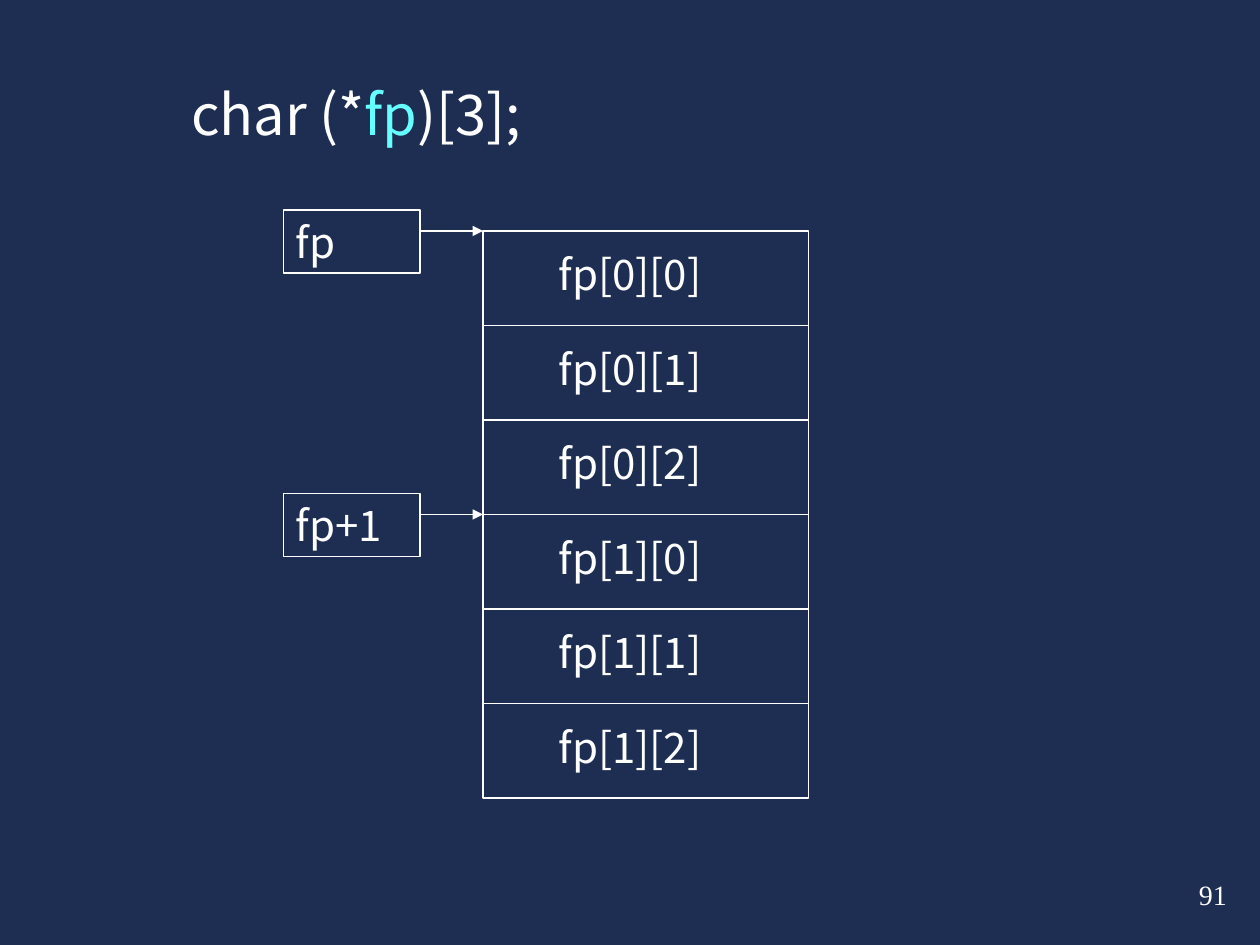
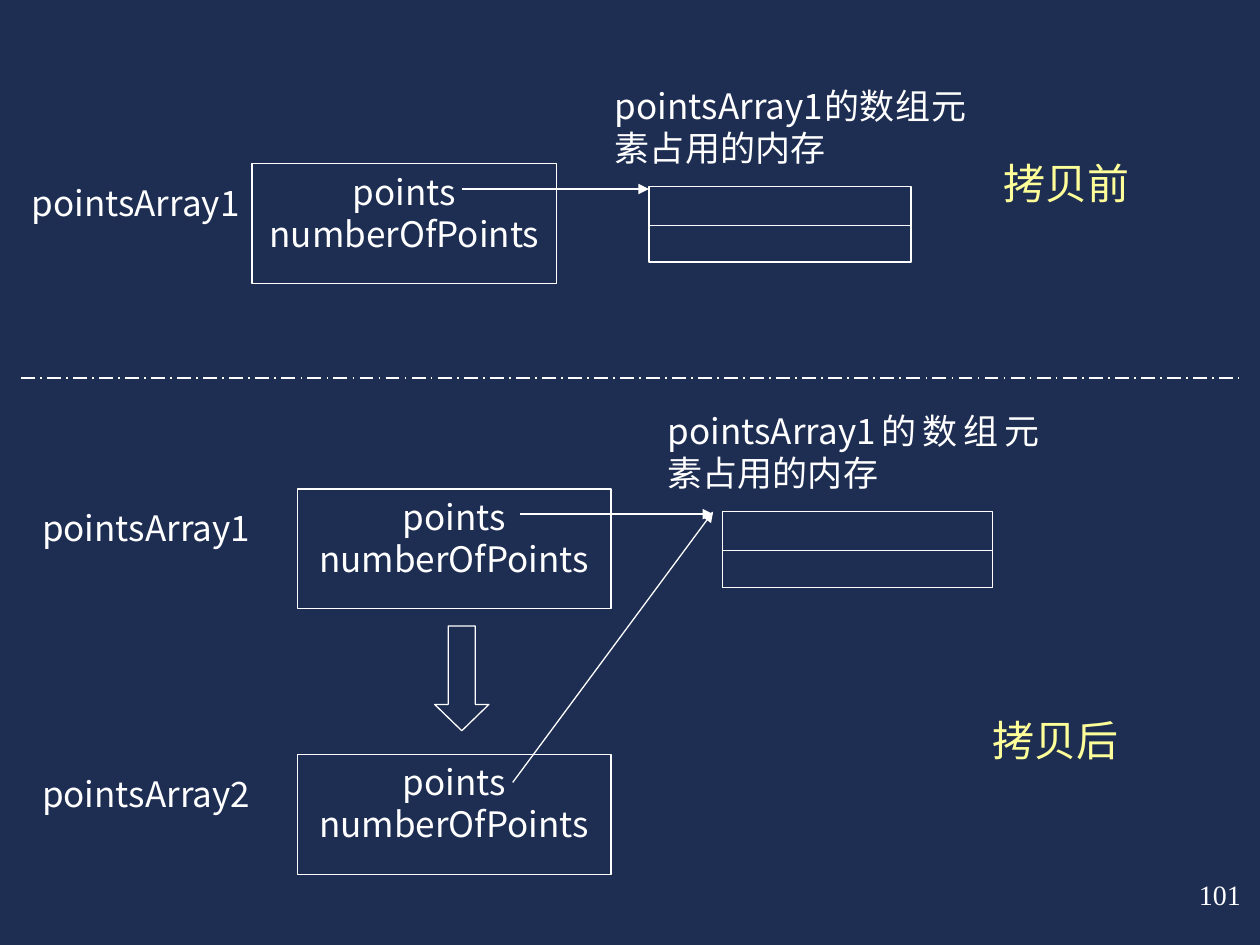
from lxml import etree
from pptx import Presentation
from pptx.dml.color import RGBColor
from pptx.enum import dml, shapes, text
from pptx.oxml import ns
from pptx.util import Pt

COLORS = {"background": "1E2E53", "ink": "FFFFFF", "accent": "66FFFF", "caption": "FFFF99"}
SANS = "Noto Sans CJK SC"
SERIF = "Times New Roman"
LEFT = text.PP_ALIGN.LEFT
CENTER = text.PP_ALIGN.CENTER
JUSTIFY = text.PP_ALIGN.JUSTIFY
THIN, MEDIUM = 0.74, 0.99
TITLE_ONLY, BLANK = 5, 6


def color(name):
    return RGBColor.from_string(COLORS[name])


def add_slide(presentation, layout, number):
    slide = presentation.slides.add_slide(presentation.slide_layouts[layout])
    slide.background.fill.solid()
    slide.background.fill.fore_color.rgb = color("background")
    add_text(slide, (678, 498, 42, 26.6), str(number), 16, SERIF, grow=True)
    return slide


def format_paragraph(paragraph, size, font=SANS, ink="ink", align=LEFT):
    paragraph.alignment = align
    paragraph.font.size = Pt(size)
    paragraph.font.name = font
    paragraph.font.color.rgb = color(ink)
    properties = paragraph._p.pPr.find(ns.qn("a:defRPr"))
    etree.SubElement(properties, ns.qn("a:ea"), typeface=SANS)


def fill_frame(shape, content, size, font=SANS, ink="ink", align=LEFT,
               insets=(7.2, 3.6), grow=False):
    frame = shape.text_frame
    frame.word_wrap = True
    frame.auto_size = (text.MSO_AUTO_SIZE.SHAPE_TO_FIT_TEXT if grow
                       else text.MSO_AUTO_SIZE.NONE)
    frame.vertical_anchor = text.MSO_ANCHOR.TOP
    frame.margin_left = frame.margin_right = Pt(insets[0])
    frame.margin_top = frame.margin_bottom = Pt(insets[1])
    frame.text = content
    for paragraph in frame.paragraphs:
        format_paragraph(paragraph, size, font, ink, align)


def add_text(slide, box, content, size, font=SANS, **options):
    shape = slide.shapes.add_textbox(*map(Pt, box))
    fill_frame(shape, content, size, font, **options)


def add_outline(slide, box, width, kind=shapes.MSO_SHAPE.RECTANGLE):
    shape = slide.shapes.add_shape(kind, *map(Pt, box))
    shape.shadow.inherit = False
    shape.fill.background()
    shape.line.color.rgb = color("ink")
    shape.line.width = Pt(width)
    return shape


def add_line(slide, start, end, width, arrow=False, dash=None):
    line = slide.shapes.add_connector(
        shapes.MSO_CONNECTOR.STRAIGHT, *map(Pt, start + end))
    line.line.color.rgb = color("ink")
    line.line.width = Pt(width)
    if dash:
        line.line.dash_style = dash
    if arrow:
        etree.SubElement(line.line._ln, ns.qn("a:tailEnd"), type="triangle")
    etree.SubElement(line._element.spPr, ns.qn("a:effectLst"))


def add_title(slide, box, pieces):
    title = slide.shapes.title
    title.left, title.top, title.width, title.height = map(Pt, box)
    fill_frame(title, "", 32)
    for content, ink in pieces:
        run = title.text_frame.paragraphs[0].add_run()
        run.text = content
        run.font.color.rgb = color(ink)


def add_pointer(slide, name, top, target_left):
    left, width = 162, 78
    box = add_outline(slide, (left, top, width, 36), MEDIUM)
    fill_frame(box, name, 24)
    add_line(slide, (left + width, top + 12), (target_left, top + 12), MEDIUM, arrow=True)


def add_array(slide, left, top, rows, columns):
    width, pitch = 186, 54
    count = rows * columns
    add_outline(slide, (left, top, width, count * pitch), MEDIUM)
    for index in range(count):
        y = top + index * pitch
        row, column = divmod(index, columns)
        if index:
            add_line(slide, (left, y), (left + width, y), MEDIUM)
        add_text(slide, (left + 36, y + 6.5, 108, 36), f"fp[{row}][{column}]", 24, grow=True)
    for row in range(rows):
        name = f"fp+{row}" if row else "fp"
        add_pointer(slide, name, top - 12 + row * columns * pitch, left)


def add_object(slide, name, label_left, left, top, width):
    add_text(slide, (label_left, top + 10, 145, 26), name, 20, align=JUSTIFY, insets=(0, 0))
    box = add_outline(slide, (left, top, width, 68.4), THIN)
    fill_frame(box, "points\nnumberOfPoints", 20, align=CENTER, insets=(0, 3.6))


def add_memory(slide, left, top, width, note_left, note_width):
    add_outline(slide, (left, top, width, 43.2), THIN)
    add_line(slide, (left, top + 22.3), (left + width, top + 22.3), THIN)
    add_text(slide, (note_left, top - 58.4, note_width, 55.4),
             "pointsArray1的数组元素占用的内存", 20, align=JUSTIFY, insets=(0, 0))


def add_stage(slide, left, top, name):
    add_text(slide, (left, top, 150.5, 31), name, 24, SERIF,
             ink="caption", align=CENTER, insets=(7.2, 0))


def build_array_pointer(presentation):
    slide = add_slide(presentation, TITLE_ONLY, 91)
    add_title(slide, (102, 42, 300, 46),
              [("char (*", "ink"), ("fp", "accent"), (")[3];", "ink")])
    add_array(slide, 276, 132, 2, 3)


def build_shallow_copy(presentation):
    slide = add_slide(presentation, BLANK, 101)
    add_stage(slide, 534.2, 90, "拷贝前")
    add_object(slide, "pointsArray1", 18, 144, 93.6, 174.2)
    add_memory(slide, 370.8, 106.6, 149.8, 351.4, 200.9)
    add_line(slide, (264.2, 108), (370.8, 108), THIN, arrow=True)

    add_line(slide, (12, 216), (708, 216), MEDIUM, dash=dml.MSO_LINE.LONG_DASH_DOT)

    add_stage(slide, 527.8, 408.2, "拷贝后")
    for name, top in (("pointsArray1", 279.4), ("pointsArray2", 431.3)):
        add_object(slide, name, 24, 169.9, top, 179.3)
    add_memory(slide, 412.8, 292.4, 154.2, 381.6, 212.4)
    add_line(slide, (297.4, 293.8), (407.5, 293.8), THIN, arrow=True)
    add_line(slide, (293, 447.1), (407.5, 292.4), THIN, arrow=True)
    arrow = add_outline(slide, (248.4, 357.8, 31, 59.8), THIN, shapes.MSO_SHAPE.DOWN_ARROW)
    arrow.adjustments[0] = 0.5
    arrow.adjustments[1] = 0.485


def main():
    presentation = Presentation()
    presentation.slide_width = Pt(720)
    presentation.slide_height = Pt(540)
    build_array_pointer(presentation)
    build_shallow_copy(presentation)
    presentation.save("out.pptx")


main()
